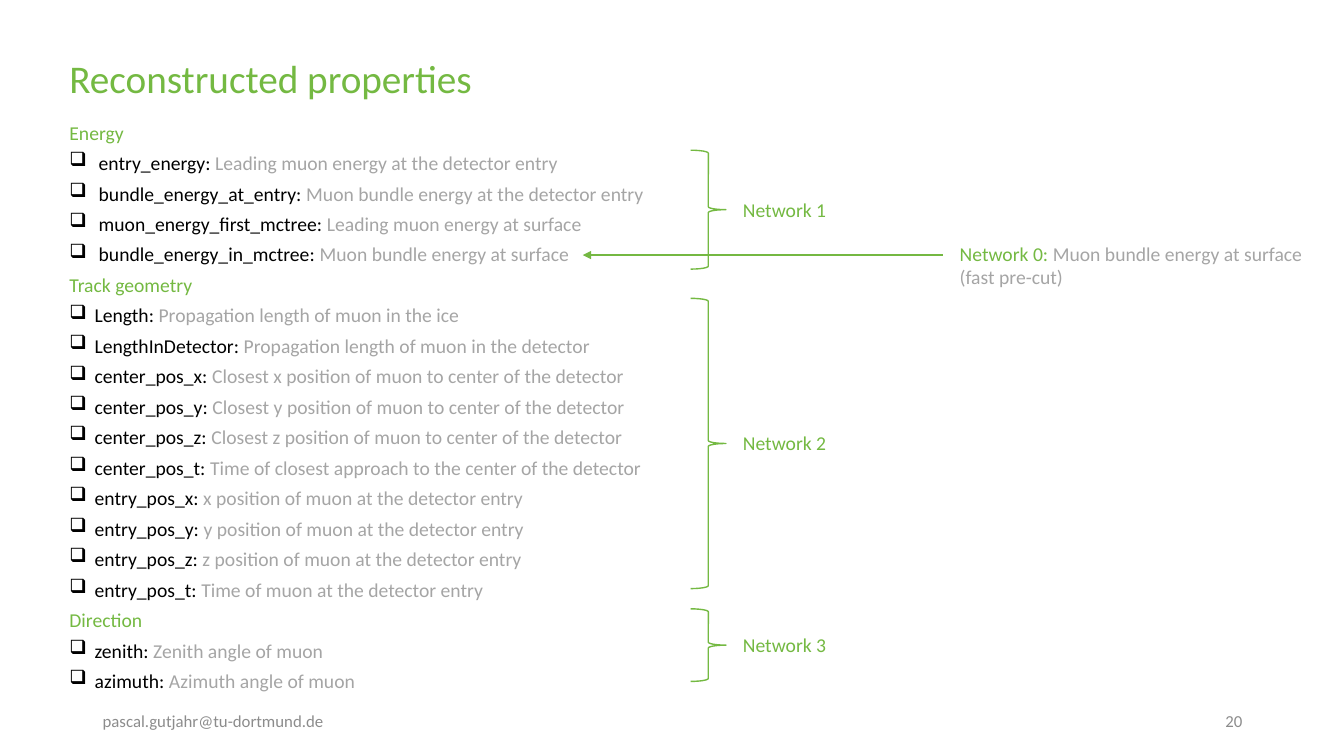
"""Build the slide that lists reconstructed muon properties and their networks."""
from dataclasses import dataclass

from lxml import etree
from pptx import Presentation
from pptx.dml.color import RGBColor
from pptx.enum.shapes import MSO_CONNECTOR, MSO_SHAPE
from pptx.enum.text import MSO_ANCHOR, PP_ALIGN
from pptx.oxml.ns import qn
from pptx.util import Inches, Pt

STRAIGHT = MSO_CONNECTOR.STRAIGHT
RIGHT_BRACE = MSO_SHAPE.RIGHT_BRACE
TOP, MIDDLE = MSO_ANCHOR.TOP, MSO_ANCHOR.MIDDLE
LEFT, RIGHT = PP_ALIGN.LEFT, PP_ALIGN.RIGHT

FONT = "Calibri"
COLORS = {
    "green": "74B942",
    "arrow": "74B842",
    "name": "000000",
    "description": "A5A5A5",
    "footer": "8C8C8C",
}
BRACE_LEFT, BRACE_WIDTH = 6.85, 0.35
LABEL_LEFT, LABEL_WIDTH, LABEL_HEIGHT = 7.27, 1.77, 0.34
FOOTER_TOP, FOOTER_WIDTH, FOOTER_HEIGHT = 6.95, 3, 0.4


@dataclass
class Section:
    heading: str
    indent: float
    properties: list[tuple[str, str]]


@dataclass
class Network:
    label: str
    top: float
    height: float


SECTIONS = [
    Section("Energy", 0.29, [
        ("entry_energy", "Leading muon energy at the detector entry"),
        ("bundle_energy_at_entry", "Muon bundle energy at the detector entry"),
        ("muon_energy_first_mctree", "Leading muon energy at surface"),
        ("bundle_energy_in_mctree", "Muon bundle energy at surface"),
    ]),
    Section("Track geometry", 0.25, [
        ("Length", "Propagation length of muon in the ice"),
        ("LengthInDetector", "Propagation length of muon in the detector"),
        *((f"center_pos_{axis}", f"Closest {axis} position of muon to center of the detector")
          for axis in "xyz"),
        ("center_pos_t", "Time of closest approach to the center of the detector"),
        *((f"entry_pos_{axis}", f"{axis} position of muon at the detector entry")
          for axis in "xyz"),
        ("entry_pos_t", "Time of muon at the detector entry"),
    ]),
    Section("Direction", 0.25, [
        ("zenith", "Zenith angle of muon"),
        ("azimuth", "Azimuth angle of muon"),
    ]),
]
NETWORKS = [
    Network("Network 1", 1.49, 1.18),
    Network("Network 2", 2.96, 2.88),
    Network("Network 3", 6.04, 0.72),
]


def add_span(para, text: str, *, color: str = "green", size: float = 14) -> None:
    span = para.add_run()
    span.text = text
    span.font.name = FONT
    span.font.size = Pt(size)
    span.font.color.rgb = RGBColor.from_string(COLORS[color])


def add_box(page, left: float, top: float, width: float, height: float, *, anchor=TOP):
    box = page.shapes.add_textbox(Inches(left), Inches(top), Inches(width), Inches(height))
    box.text_frame.word_wrap = True
    box.text_frame.vertical_anchor = anchor
    return box.text_frame


def add_bullet(para, indent: float) -> None:
    properties = para._p.get_or_add_pPr()
    properties.set("marL", str(Inches(indent)))
    properties.set("indent", str(-Inches(indent)))
    etree.SubElement(properties, qn("a:buChar"), char="❑")


def add_property_list(page) -> None:
    frame = add_box(page, 0.59, 1.21, 12.59, 5.74)

    def next_para(first: bool = False):
        para = frame.paragraphs[0] if first else frame.add_paragraph()
        para.line_spacing = 0.7
        para.space_before = Pt(0 if first else 10)
        return para

    for section in SECTIONS:
        add_span(next_para(section is SECTIONS[0]), section.heading)
        for name, description in section.properties:
            para = next_para()
            add_bullet(para, section.indent)
            add_span(para, f"{name}: ", color="name")
            add_span(para, description, color="description")


def add_network(page, network: Network) -> None:
    brace = page.shapes.add_shape(RIGHT_BRACE, Inches(BRACE_LEFT), Inches(network.top),
                                  Inches(BRACE_WIDTH), Inches(network.height))
    brace.shadow.inherit = False
    brace.fill.background()
    brace.line.color.rgb = RGBColor.from_string(COLORS["green"])
    brace.line.width = Pt(1)
    label_top = network.top + (network.height - LABEL_HEIGHT) / 2
    label = add_box(page, LABEL_LEFT, label_top, LABEL_WIDTH, LABEL_HEIGHT)
    add_span(label.paragraphs[0], network.label)


def add_arrow(page, start: float, end: float, height: float) -> None:
    arrow = page.shapes.add_connector(STRAIGHT, Inches(start), Inches(height),
                                      Inches(end), Inches(height))
    arrow.line.color.rgb = RGBColor.from_string(COLORS["arrow"])
    arrow.line.width = Pt(1)
    etree.SubElement(arrow.line._get_or_add_ln(), qn("a:tailEnd"), type="triangle")
    etree.SubElement(arrow._element.spPr, qn("a:effectLst"))


def add_footer(page, text: str, left: float, *, align=LEFT) -> None:
    frame = add_box(page, left, FOOTER_TOP, FOOTER_WIDTH, FOOTER_HEIGHT, anchor=MIDDLE)
    para = frame.paragraphs[0]
    para.alignment = align
    add_span(para, text, color="footer", size=12)


def main() -> None:
    deck = Presentation()
    deck.slide_width, deck.slide_height = Inches(13.33), Inches(7.5)
    page = deck.slides.add_slide(deck.slide_layouts[6])

    title = add_box(page, 0.59, 0.4, 12.59, 0.81, anchor=MIDDLE).paragraphs[0]
    title.line_spacing = 0.9
    add_span(title, "Reconstructed properties", size=28)

    add_property_list(page)
    add_footer(page, "pascal.gutjahr@tu-dortmund.de", 0.92)
    add_footer(page, "20", 9.42, align=RIGHT)
    for network in NETWORKS:
        add_network(page, network)

    precut = add_box(page, 9.42, 2.35, 3.91, 0.57).paragraphs[0]
    add_span(precut, "Network 0: ")
    add_span(precut, "Muon bundle energy at surface (fast pre-cut)", color="description")
    add_arrow(page, 9.35, 5.78, 2.53)

    deck.save("out.pptx")


if __name__ == "__main__":
    main()
